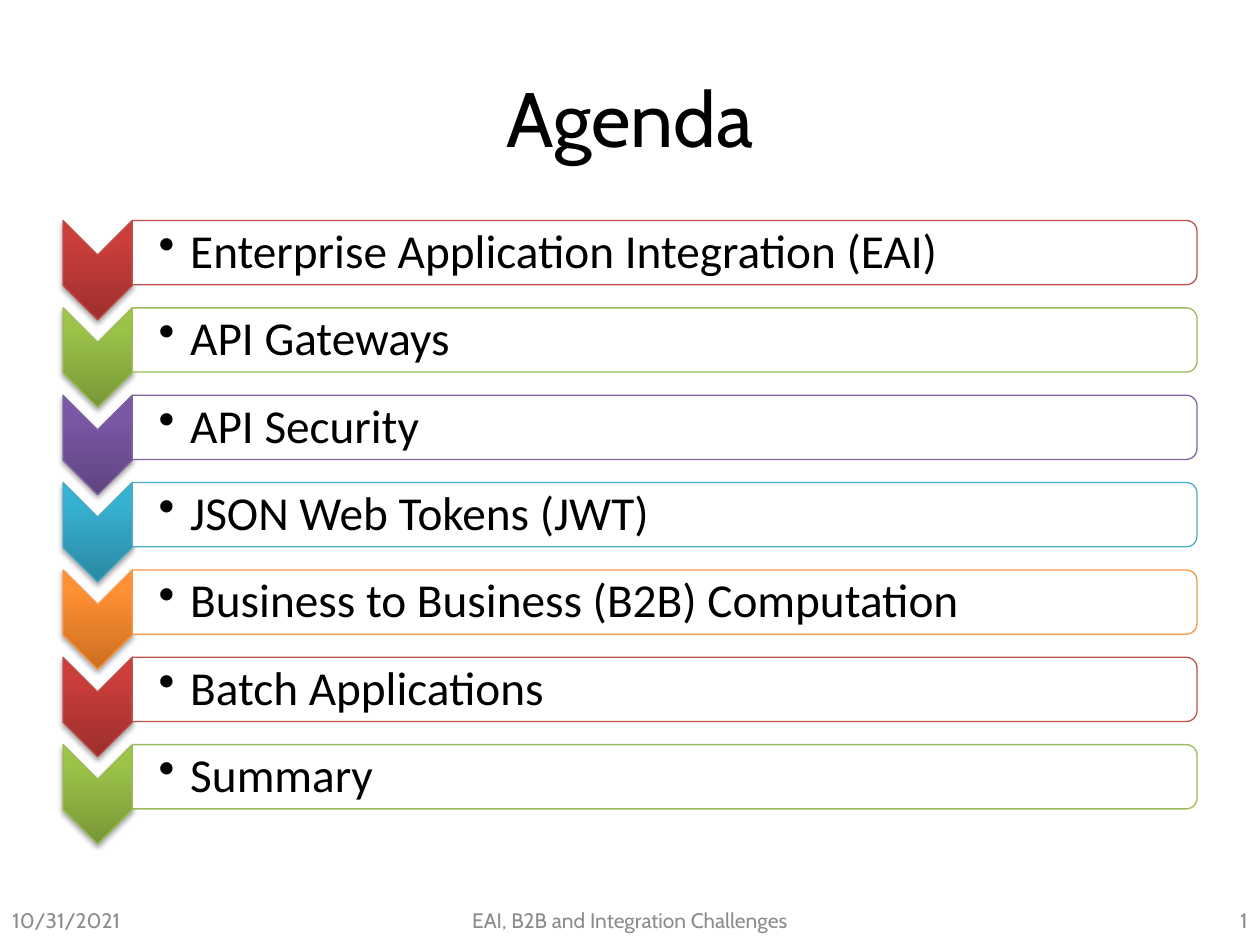
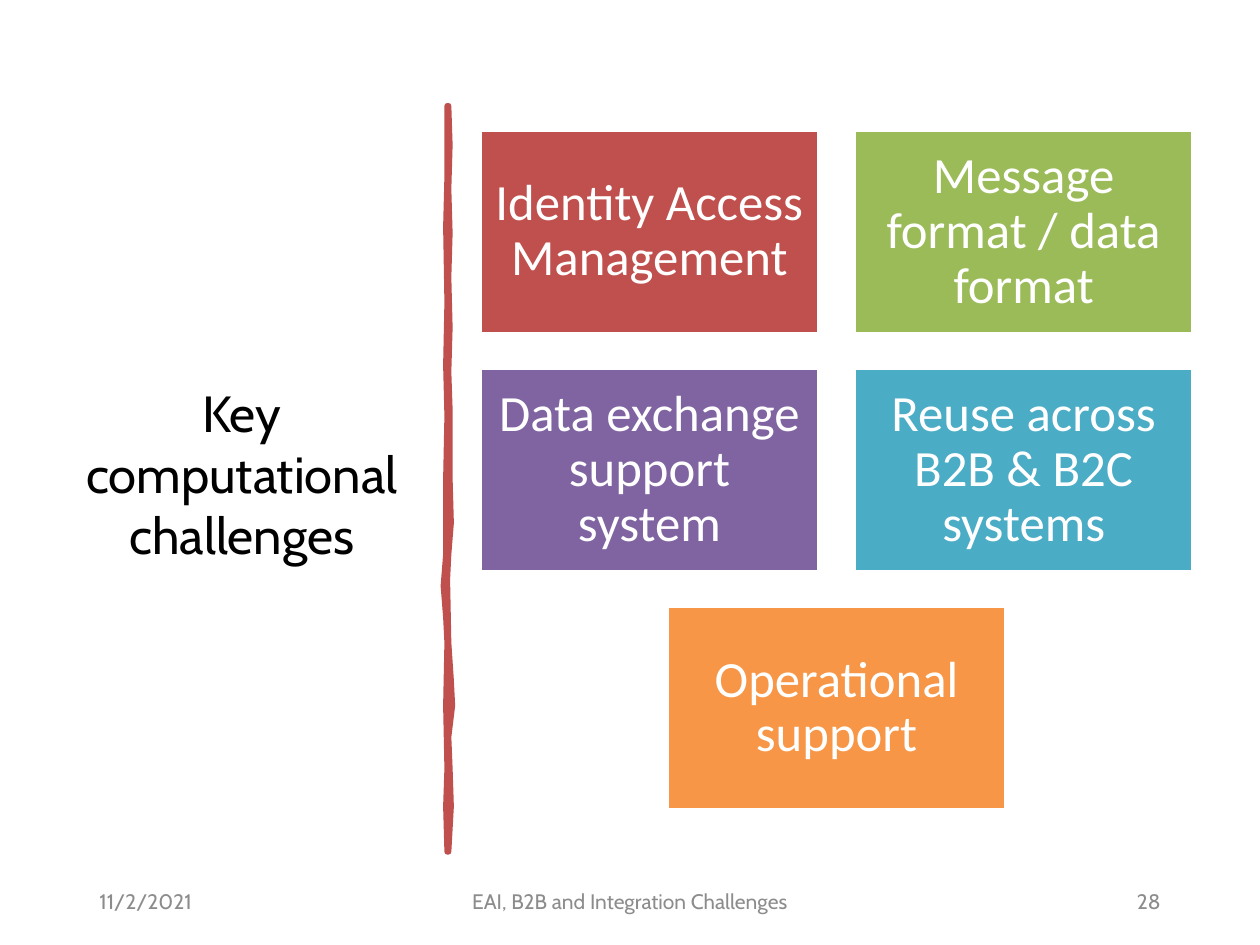
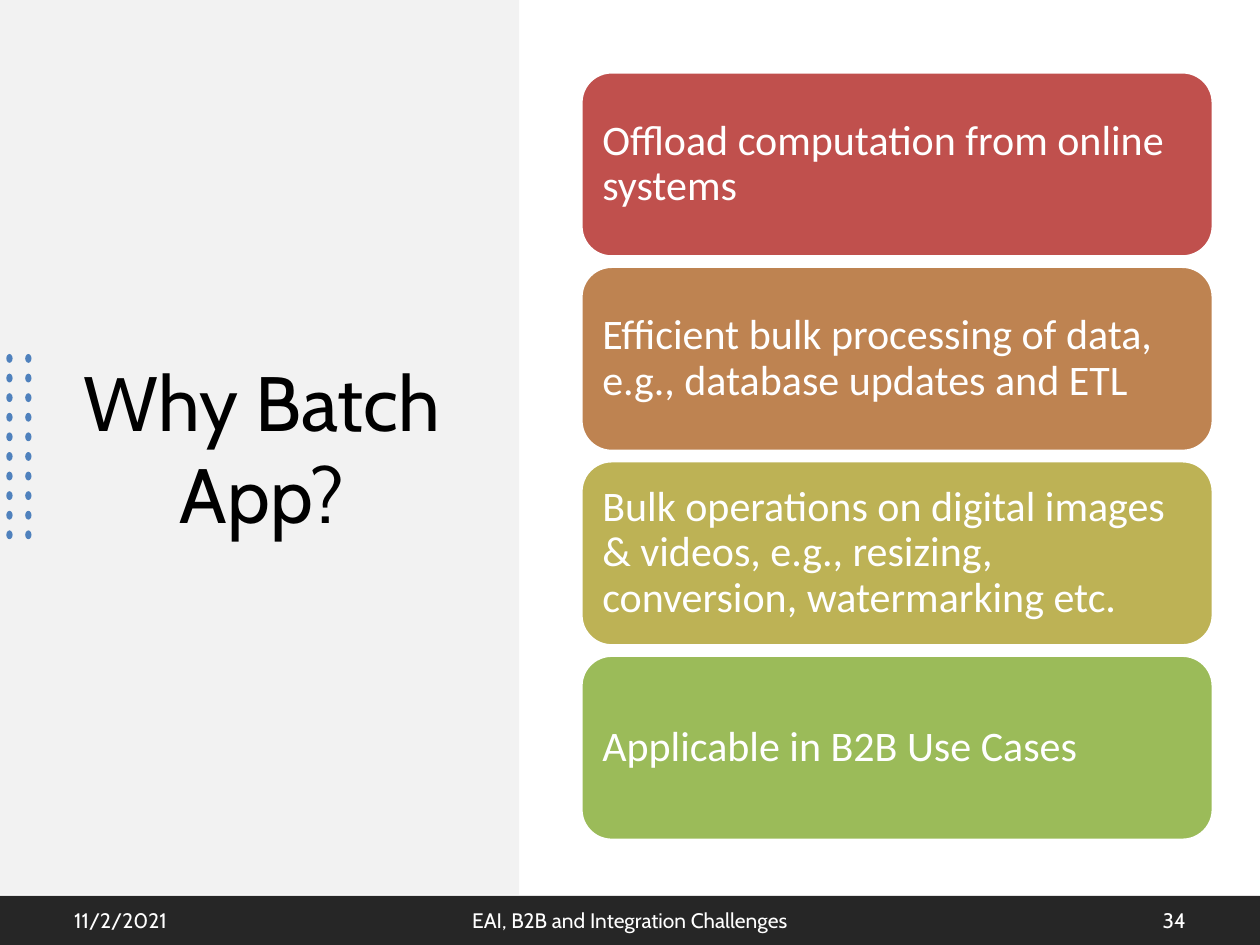
from dataclasses import dataclass
from itertools import product

from pptx import Presentation
from pptx.dml.color import RGBColor
from pptx.enum.shapes import MSO_SHAPE
from pptx.enum.text import MSO_ANCHOR, PP_ALIGN
from pptx.oxml import parse_xml
from pptx.oxml.ns import nsdecls, qn
from pptx.util import Inches, Pt

WIDTH, HEIGHT = 10, 7.5
FOOTER = "EAI, B2B and Integration Challenges"


@dataclass(frozen=True)
class Theme:
    title_font: str = "Cabin"
    body_font: str = "Calibri"
    title_size: int = 44
    side_title_size: int = 29
    agenda_size: int = 27
    tile_size: int = 29
    card_size: int = 24
    footer_size: int = 12
    black: str = "000000"
    white: str = "FFFFFF"
    grey: str = "8C8C8C"
    panel: str = "F2F2F2"
    band: str = "262626"
    dot: str = "4F81BD"
    red: str = "C0504D"
    accents: tuple = ("C0504D", "9BBB59", "8064A2", "4BACC6", "F79646")
    # Dark, middle and bright stop for each accent
    gradients: tuple = (
        ("9C2F2D", "CB3E3A", "CE3B37"),
        ("779737", "9BC348", "9DC746"),
        ("5F4480", "7B58A6", "7C57A8"),
        ("2A88A2", "37B1D2", "34B4D6"),
        ("CC6E20", "FF9034", "FF9136"),
    )
    cards: tuple = ("C0504D", "BE8351", "BDB255", "9BBB59")


THEME = Theme()


def set_all(target, values):
    for name, value in values.items():
        setattr(target, name, value)


class Deck:
    """Holds the theme and the slide being built."""

    def __init__(self, theme):
        self.theme = theme
        self.prs = Presentation()
        self.prs.slide_width, self.prs.slide_height = Inches(WIDTH), Inches(HEIGHT)
        self.s = None

    def new_slide(self):
        self.s = self.prs.slides.add_slide(self.prs.slide_layouts[5])

    def fill_text(self, sp, text, size, color, font=None, align=PP_ALIGN.LEFT,
                  inset=(0.1, 0.05, 0.1, 0.05), spacing=1.0):
        tf = sp.text_frame
        margins = ("margin_left", "margin_top", "margin_right", "margin_bottom")
        set_all(tf, dict(zip(margins, map(Inches, inset))))
        set_all(tf, {"word_wrap": True, "vertical_anchor": MSO_ANCHOR.MIDDLE})
        p = tf.paragraphs[0]
        set_all(p, {"alignment": align, "line_spacing": spacing})
        r = p.add_run()
        r.text = text
        set_all(r.font, {"name": font or self.theme.body_font, "size": Pt(size)})
        r.font.color.rgb = RGBColor.from_string(color)
        return p

    def title(self, text, box, size):
        sp = self.s.shapes.title
        set_all(sp, dict(zip(("left", "top", "width", "height"), map(Inches, box))))
        self.fill_text(sp, text, size, self.theme.black, self.theme.title_font,
                       PP_ALIGN.CENTER)
        # Keep the title in front of anything drawn before it
        sp.element.getparent().append(sp.element)

    def text(self, text, box, size, color, **style):
        sp = self.s.shapes.add_textbox(*map(Inches, box))
        return self.fill_text(sp, text, size, color, **style)

    def bullet(self, text, box, size, inset):
        p = self.text(text, box, size, self.theme.black, inset=inset, spacing=0.9)
        pPr = p._p.get_or_add_pPr()
        pPr.set("marL", str(Inches(0.25)))
        pPr.set("indent", str(-Inches(0.25)))
        pPr.append(parse_xml(f'<a:buChar {nsdecls("a")} char="•"/>'))

    def paint(self, sp, fill, line=None, line_width=0.75):
        sp.shadow.inherit = False
        sp.fill.solid()
        sp.fill.fore_color.rgb = RGBColor.from_string(fill)
        if line:
            sp.line.color.rgb = RGBColor.from_string(line)
            sp.line.width = Pt(line_width)
        else:
            sp.line.fill.background()
        return sp

    def shape(self, kind, box, fill, line=None, line_width=0.75, rotation=0):
        sp = self.s.shapes.add_shape(kind, *map(Inches, box))
        sp.rotation = rotation
        return self.paint(sp, fill, line, line_width)

    def chevron(self, box, line, stops):
        sp = self.shape(MSO_SHAPE.CHEVRON, box, line, line, rotation=90)
        spPr = sp.element.spPr
        gs = "".join(f'<a:gs pos="{pos}"><a:srgbClr val="{color}"/></a:gs>'
                     for pos, color in zip((0, 80000, 100000), stops))
        spPr.replace(spPr.find(qn("a:solidFill")), parse_xml(
            f'<a:gradFill {nsdecls("a")} rotWithShape="0"><a:gsLst>{gs}</a:gsLst>'
            '<a:lin ang="16200000" scaled="0"/></a:gradFill>'))
        spPr.find(qn("a:effectLst")).append(parse_xml(
            f'<a:outerShdw {nsdecls("a")} blurRad="{Pt(3.1)}" dist="{Pt(1.8)}" '
            'dir="5400000" rotWithShape="0"><a:srgbClr val="000000">'
            '<a:alpha val="35000"/></a:srgbClr></a:outerShdw>'))

    def outline(self, points, color, line_width):
        pts = [(Inches(x), Inches(y)) for x, y in points]
        builder = self.s.shapes.build_freeform(*pts[0])
        builder.add_line_segments(pts[1:], close=True)
        self.paint(builder.convert_to_shape(), color, color, line_width)

    def footer(self, date, number, margin, top, color, side=2.25, middle=3.38):
        parts = (
            (date, margin, side, PP_ALIGN.LEFT),
            (FOOTER, (WIDTH - middle) / 2, middle, PP_ALIGN.CENTER),
            (number, WIDTH - margin - side, side, PP_ALIGN.RIGHT),
        )
        for text, left, width, align in parts:
            self.text(text, (left, top, width, 0.4), self.theme.footer_size, color,
                      font=self.theme.title_font, align=align)


def agenda(deck):
    t = deck.theme
    deck.new_slide()
    deck.title("Agenda", (0.5, 0.3, 9, 1.25), t.title_size)
    topics = (
        "Enterprise Application Integration (EAI)",
        "API Gateways",
        "API Security",
        "JSON Web Tokens (JWT)",
        "Business to Business (B2B) Computation",
        "Batch Applications",
        "Summary",
    )
    pitch = 4.16 / (len(topics) - 1)
    for i, topic in enumerate(topics):
        shift = i * pitch
        accent = t.accents[i % len(t.accents)]
        deck.chevron((0.38, 1.87 + shift, 0.79, 0.55), accent,
                     t.gradients[i % len(t.gradients)])
        deck.shape(MSO_SHAPE.ROUND_2_SAME_RECTANGLE, (5.02, -2.22 + shift, 0.51, 8.45),
                   t.white, accent, rotation=90)
        deck.bullet(topic, (1.05, 1.78 + shift, 8.42, 0.46), t.agenda_size,
                    (0.21, 0.02, 0.02, 0.02))
    deck.footer("10/31/2021", "1", 0, 7.1, t.grey, side=2.33, middle=3.17)


def challenges(deck):
    t = deck.theme
    deck.new_slide()
    deck.title("Key computational challenges", (0.52, 0.7, 2.8, 6.11), t.side_title_size)

    # Hand-drawn divider: right edge downwards, left edge back up
    right = ((3.56, 0.84), (3.57, 1.15), (3.56, 1.5), (3.57, 1.85), (3.56, 2.2),
             (3.57, 2.6), (3.56, 2.95), (3.57, 3.25), (3.57, 3.5), (3.57, 3.8),
             (3.58, 4.15), (3.56, 4.4), (3.55, 4.6), (3.56, 5.1), (3.58, 5.4),
             (3.59, 5.6), (3.56, 5.85), (3.57, 6.1), (3.58, 6.4), (3.56, 6.76))
    left = ((3.55, 6.76), (3.54, 6.4), (3.55, 6.1), (3.54, 5.6), (3.55, 5.1),
            (3.54, 4.9), (3.52, 4.65), (3.54, 4.4), (3.54, 3.8), (3.55, 3.3),
            (3.54, 2.9), (3.55, 2.4), (3.54, 1.8), (3.55, 1.4), (3.55, 0.84))
    deck.outline(right + left, t.red, 3.25)

    deck.footer("11/2/2021", "28", 0.69, 6.95, t.grey)

    # Two tiles a row, the last one centred
    labels = ("Identity Access Management", "Message format / data format",
              "Data exchange support system", "Reuse across B2B & B2C systems",
              "Operational support")
    step_x, step_y = 2.97, 1.89
    for i, (label, accent) in enumerate(zip(labels, t.accents)):
        row, col = divmod(i, 2)
        if i == len(labels) - 1:
            col = 0.5
        tile = deck.shape(MSO_SHAPE.RECTANGLE,
                          (3.81 + col * step_x, 1.03 + row * step_y, 2.69, 1.62),
                          accent, t.white, 2)
        deck.fill_text(tile, label, t.tile_size, t.white, align=PP_ALIGN.CENTER,
                       inset=(0.12,) * 4, spacing=0.9)


def why_batch(deck):
    t = deck.theme
    deck.new_slide()
    deck.shape(MSO_SHAPE.RECTANGLE, (0, 0, 4.12, 7.1), t.panel)
    deck.title("Why Batch App?", (0.49, 1.32, 3.18, 4.45), t.title_size)

    # Dot grid at the left edge
    rows, cols = 10, 2
    row_step = 1.4 / (rows - 1)
    for row, col in product(range(rows), range(cols)):
        deck.shape(MSO_SHAPE.OVAL,
                   (0.05 + col * 0.15, 2.81 + row * row_step, 0.05, 0.07), t.dot)

    # Bottom band
    deck.shape(MSO_SHAPE.RECTANGLE, (0, 7.11, WIDTH, 0.39), t.band)
    deck.footer("11/2/2021", "34", 0.49, 7.1, t.white)

    # Stacked reasons
    reasons = (
        "Offload computation from online systems",
        "Efficient bulk processing of data, e.g., database updates and ETL",
        "Bulk operations on digital images & videos, e.g., resizing, "
        "conversion, watermarking etc.",
        "Applicable in B2B Use Cases",
    )
    pitch = 4.63 / (len(reasons) - 1)
    for i, (reason, fill) in enumerate(zip(reasons, t.cards)):
        card = deck.shape(MSO_SHAPE.ROUNDED_RECTANGLE, (4.61, 0.57 + i * pitch, 5.02, 1.47),
                          fill, t.white, 2)
        deck.fill_text(card, reason, t.card_size, t.white, inset=(0.1,) * 4, spacing=0.9)


def main():
    deck = Deck(THEME)
    for build in (agenda, challenges, why_batch):
        build(deck)
    deck.prs.save("out.pptx")


if __name__ == "__main__":
    main()
